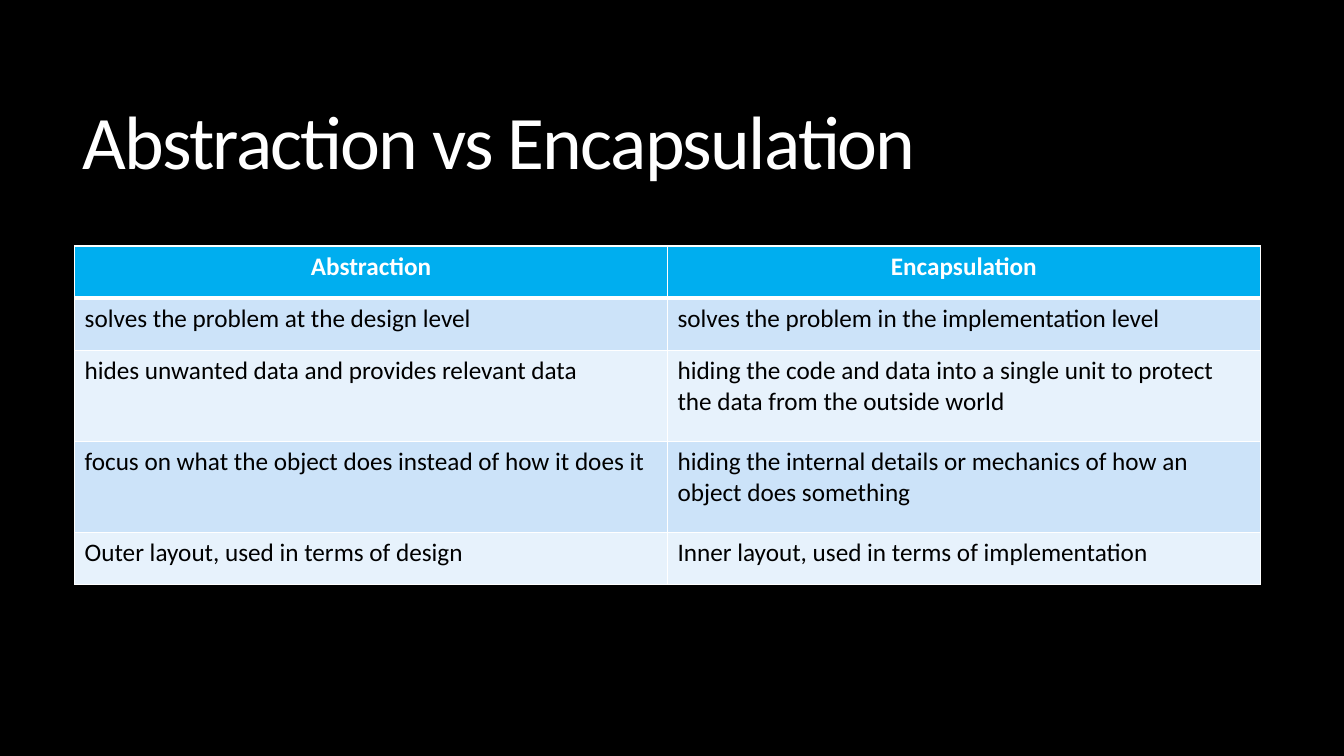
from lxml import etree
from pptx import Presentation
from pptx.dml.color import RGBColor
from pptx.enum.text import MSO_ANCHOR, PP_ALIGN
from pptx.oxml.ns import qn
from pptx.util import Inches, Pt

MIDDLE = MSO_ANCHOR.MIDDLE
LEFT, CENTER = PP_ALIGN.LEFT, PP_ALIGN.CENTER

THEME = {
    "font": "Calibri",
    "background": "000000",
    "light": "FFFFFF",
    "dark": "000000",
    "header": "00AEEF",
    "bands": ["CCE3F9", "E7F2FC"],
    "title_size": 54,
    "table_size": 18,
}


def add_span(para, text, size, color, bold=False):
    span = para.add_run()
    span.text = text
    span.font.name = THEME["font"]
    span.font.size = Pt(size)
    span.font.bold = bold
    span.font.color.rgb = RGBColor.from_string(color)
    return span


def add_border(cell, side, points):
    line = etree.SubElement(cell._tc.get_or_add_tcPr(), qn(f"a:ln{side}"), w=str(Pt(points)))
    fill = etree.SubElement(line, qn("a:solidFill"))
    etree.SubElement(fill, qn("a:srgbClr"), val=THEME["light"])


deck = Presentation()
deck.slide_width, deck.slide_height = Inches(13.33), Inches(7.5)
page = deck.slides.add_slide(deck.slide_layouts[6])
page.background.fill.solid()
page.background.fill.fore_color.rgb = RGBColor.from_string(THEME["background"])

# Title
title_box = page.shapes.add_textbox(Inches(0.72), Inches(0.55), Inches(11.78), Inches(1.81))
title_box.text_frame.word_wrap = True
title_box.text_frame.vertical_anchor = MIDDLE
title_para = title_box.text_frame.paragraphs[0]
title_para.line_spacing = 0.85
title_span = add_span(title_para, "Abstraction vs Encapsulation", THEME["title_size"], THEME["light"])
title_span.font._element.set("spc", "-120")

# Comparison table
comparison = [
    ("Abstraction", "Encapsulation"),
    ("solves the problem at the design level",
     "solves the problem in the implementation level"),
    ("hides unwanted data and provides relevant data",
     "hiding the code and data into a single unit to protect the data from the outside world"),
    ("focus on what the object does instead of how it does it",
     "hiding the internal details or mechanics of how an object does something"),
    ("Outer layout, used in terms of design",
     "Inner layout, used in terms of implementation"),
]
row_heights = [0.52, 0.52, 0.9, 0.9, 0.52]
table = page.shapes.add_table(
    len(comparison), 2, Inches(0.74), Inches(2.44), Inches(11.76), Inches(sum(row_heights))
).table
for column in table.columns:
    column.width = Inches(5.88)

for row, texts in enumerate(comparison):
    table.rows[row].height = Inches(row_heights[row])
    is_header = row == 0
    fill_color = THEME["header"] if is_header else THEME["bands"][(row - 1) % 2]
    text_color = THEME["light"] if is_header else THEME["dark"]
    # The line under the header is heavier than the rest
    borders = {"L": 1, "R": 1, "T": 3 if row == 1 else 1, "B": 3 if is_header else 1}
    for column, text in enumerate(texts):
        cell = table.cell(row, column)
        for side, points in borders.items():
            add_border(cell, side, points)
        cell.fill.solid()
        cell.fill.fore_color.rgb = RGBColor.from_string(fill_color)
        para = cell.text_frame.paragraphs[0]
        para.alignment = CENTER if is_header else LEFT
        add_span(para, text, THEME["table_size"], text_color, bold=is_header)

deck.save("out.pptx")
